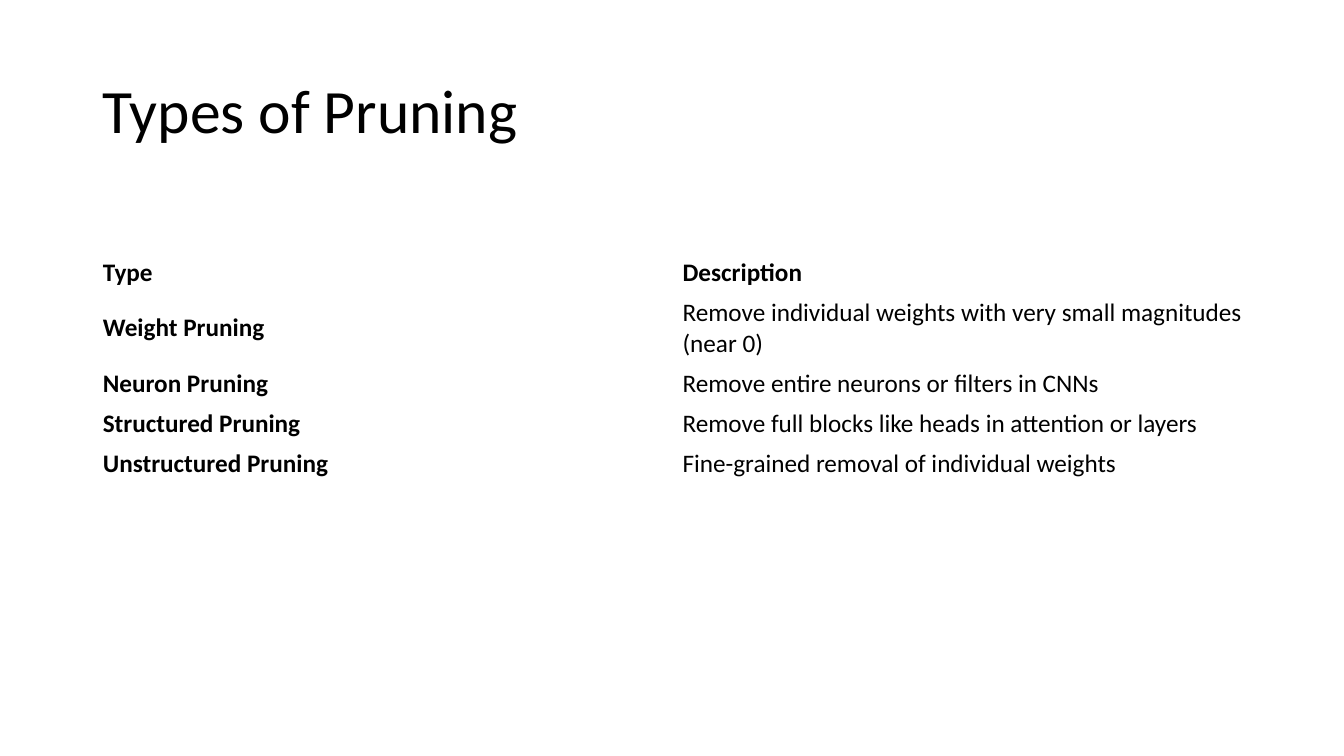
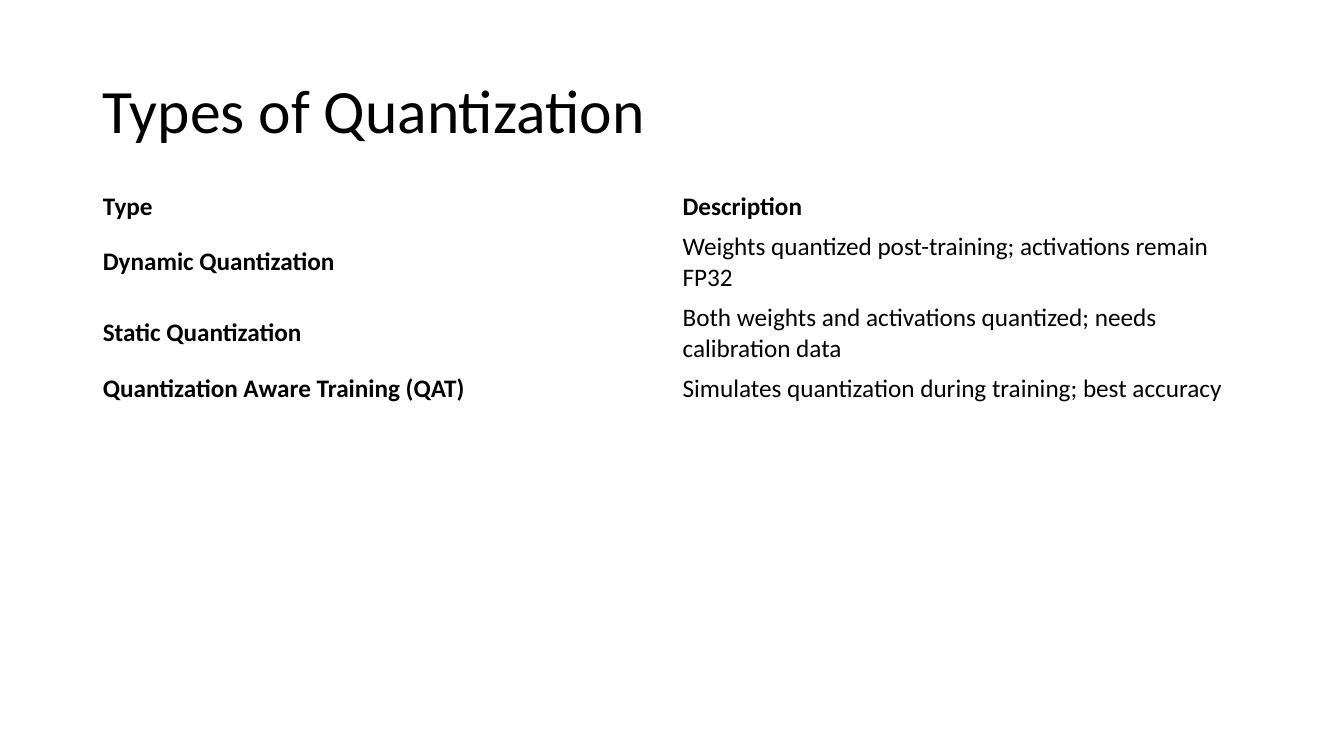
from pptx import Presentation
from pptx.dml.color import RGBColor
from pptx.enum.text import MSO_ANCHOR
from pptx.util import Inches, Pt

BLACK = RGBColor(0x00, 0x00, 0x00)
FONT = "Calibri"
TITLE_SIZE, CELL_SIZE = 44, 18
LEFT, WIDTH = 0.92, 11.5
TITLE_BOX = (LEFT, 0.4, WIDTH, 1.45)
ROW_BASE, LINE_HEIGHT = 0.1, 0.3
NO_STYLE_NO_GRID = "{2D5ABB26-0587-4C30-8999-92F81FD0307C}"
HEADER = ("Type", "Description", 1)

PRUNING = [
    ("Weight Pruning", "Remove individual weights with very small magnitudes (near 0)", 2),
    ("Neuron Pruning", "Remove entire neurons or filters in CNNs", 1),
    ("Structured Pruning", "Remove full blocks like heads in attention or layers", 1),
    ("Unstructured Pruning", "Fine-grained removal of individual weights", 1),
]
QUANTIZATION = [
    ("Dynamic Quantization", "Weights quantized post-training; activations remain FP32", 2),
    ("Static Quantization", "Both weights and activations quantized; needs calibration data", 2),
    ("Quantization Aware Training (QAT)", "Simulates quantization during training; best accuracy", 1),
]


def add_run(p, text, size, bold=False):
    """Add one run of text in the shared font and colour."""
    r = p.add_run()
    r.text = text
    r.font.name, r.font.size, r.font.bold = FONT, Pt(size), bold
    r.font.color.rgb = BLACK


def add_title(s, text, box):
    """Place the slide title, centred vertically in its box."""
    tf = s.shapes.add_textbox(*map(Inches, box)).text_frame
    tf.word_wrap = True
    tf.vertical_anchor = MSO_ANCHOR.MIDDLE
    p = tf.paragraphs[0]
    p.line_spacing = 0.9
    add_run(p, text, TITLE_SIZE)


def add_type_table(s, entries, left, top, width):
    """Place a plain two-column table with a bold header and first column."""
    rows = [HEADER] + entries
    heights = [ROW_BASE + LINE_HEIGHT * lines for _, _, lines in rows]
    frame = s.shapes.add_table(
        len(rows), 2, *map(Inches, (left, top, width, sum(heights))))
    table = frame.table
    table.horz_banding = False
    table.first_row = False
    frame._element.xpath(".//a:tableStyleId")[0].text = NO_STYLE_NO_GRID
    for i, (kind, description, _) in enumerate(rows):
        table.rows[i].height = Inches(heights[i])
        for j, text in enumerate((kind, description)):
            cell = table.cell(i, j)
            cell.fill.background()
            cell.vertical_anchor = MSO_ANCHOR.MIDDLE
            add_run(cell.text_frame.paragraphs[0], text, CELL_SIZE,
                    bold=i == 0 or j == 0)


def add_types_slide(prs, title, entries, table_top):
    """Add a slide with a title above a table of types."""
    s = prs.slides.add_slide(prs.slide_layouts[6])
    add_title(s, title, TITLE_BOX)
    add_type_table(s, entries, LEFT, table_top, WIDTH)


def main():
    """Build and save the presentation."""
    prs = Presentation()
    prs.slide_width, prs.slide_height = Inches(13.33), Inches(7.5)
    add_types_slide(prs, "Types of Pruning", PRUNING, 2.5)
    add_types_slide(prs, "Types of Quantization", QUANTIZATION, 1.85)
    prs.save("out.pptx")


if __name__ == "__main__":
    main()
